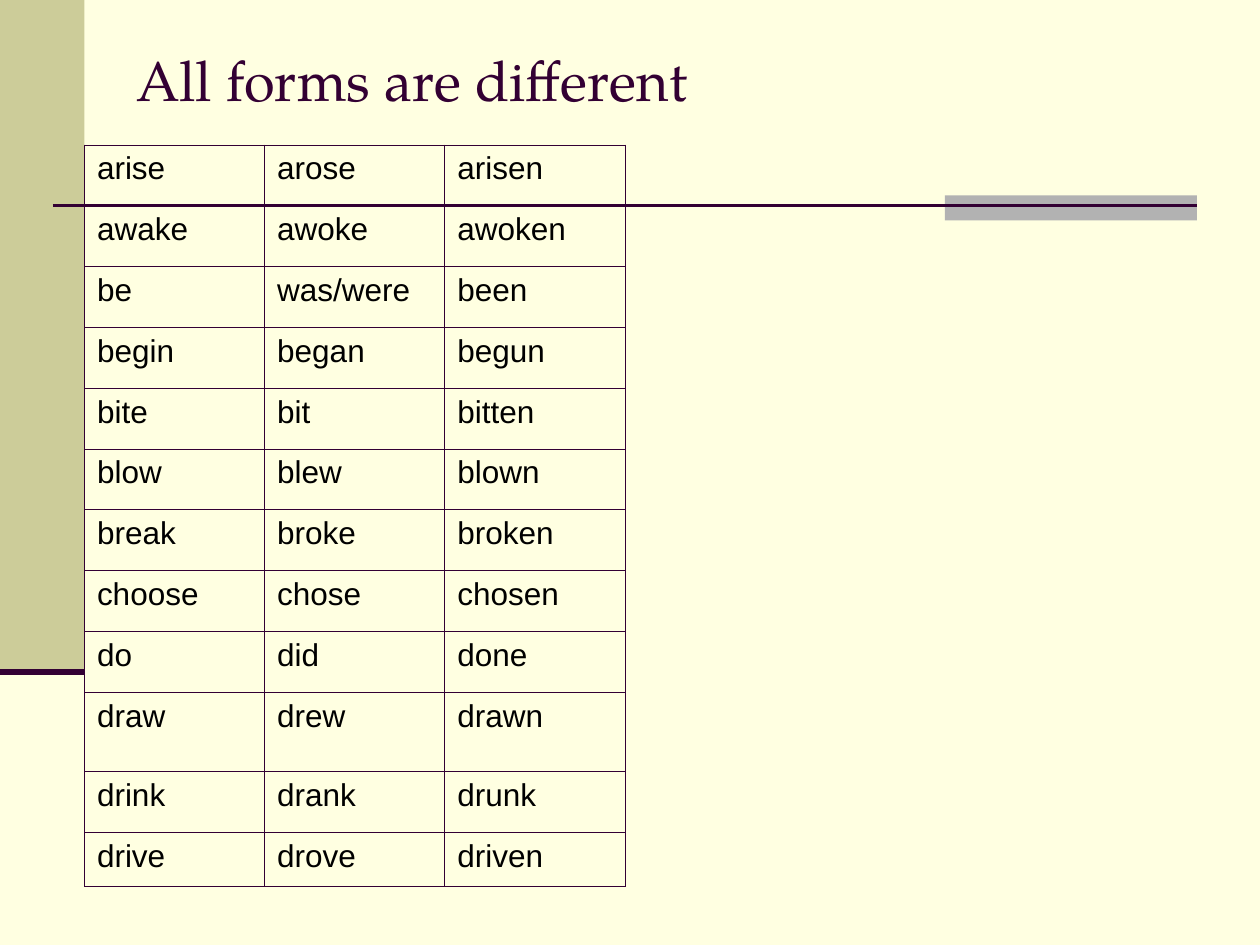
import pptx
import pptx.dml.color
import pptx.enum.shapes
import pptx.enum.text
import pptx.oxml
import pptx.oxml.ns
import pptx.util
from pptx.util import Inches

PLUM = "330033"


def color(hex_code):
    return pptx.dml.color.RGBColor.from_string(hex_code)


def add_text(paragraph, text, font_name, size, hex_code):
    run = paragraph.add_run()
    run.text = text
    run.font.name = font_name
    run.font.size = pptx.util.Pt(size)
    run.font.color.rgb = color(hex_code)


presentation = pptx.Presentation()
presentation.slide_width = Inches(10)
presentation.slide_height = Inches(7.5)
slide = presentation.slides.add_slide(presentation.slide_layouts[5])
slide.background.fill.solid()
slide.background.fill.fore_color.rgb = color("FFFFE1")

# Side band and accent bar
for left, top, width, height, fill in [
    (0, 0, 0.67, 5.33, "CCCC99"),
    (7.5, 1.55, 2, 0.2, "B2B2B2"),
]:
    band = slide.shapes.add_shape(
        pptx.enum.shapes.MSO_SHAPE.RECTANGLE,
        Inches(left), Inches(top), Inches(width), Inches(height))
    band.shadow.inherit = False
    band.fill.solid()
    band.fill.fore_color.rgb = color(fill)
    band.line.fill.background()

# Horizontal rules
for start, end, y, weight in [(0.42, 9.5, 1.63, 1.5), (0, 0.67, 5.33, 3.5)]:
    rule = slide.shapes.add_connector(
        pptx.enum.shapes.MSO_CONNECTOR.STRAIGHT,
        Inches(start), Inches(y), Inches(end), Inches(y))
    rule.line.color.rgb = color(PLUM)
    rule.line.width = pptx.util.Pt(weight)
    rule_properties = rule._element.spPr
    rule_properties.append(pptx.oxml.parse_xml(
        f'<a:effectLst {pptx.oxml.ns.nsdecls("a")}/>'))

# Title
title = slide.shapes.title
title.left, title.top = Inches(0.98), Inches(0.28)
title.width, title.height = Inches(8.5), Inches(0.69)
title.text_frame.word_wrap = True
title.text_frame.auto_size = pptx.enum.text.MSO_AUTO_SIZE.NONE
title.text_frame.vertical_anchor = pptx.enum.text.MSO_ANCHOR.MIDDLE
heading = title.text_frame.paragraphs[0]
heading.alignment = pptx.enum.text.PP_ALIGN.LEFT
add_text(heading, "All forms are different", "TeX Gyre Pagella", 32, PLUM)

# Verb table: base form, past simple, past participle
verbs = [
    ("arise", "arose", "arisen"),
    ("awake", "awoke", "awoken"),
    ("be", "was/were", "been"),
    ("begin", "began", "begun"),
    ("bite", "bit", "bitten"),
    ("blow", "blew", "blown"),
    ("break", "broke", "broken"),
    ("choose", "chose", "chosen"),
    ("do", "did", "done"),
    ("draw", "drew", "drawn"),
    ("drink", "drank", "drunk"),
    ("drive", "drove", "driven"),
]
table_width, table_height = 4.29, 5.89
special_heights = {"draw": 0.63, "drive": 0.43}
regular_height = ((table_height - sum(special_heights.values()))
                  / (len(verbs) - len(special_heights)))

verb_table = slide.shapes.add_table(
    len(verbs), 3, Inches(0.67), Inches(1.15),
    Inches(table_width), Inches(table_height)).table
verb_table.first_row = False
verb_table.horz_banding = False
for column in verb_table.columns:
    column.width = Inches(table_width / 3)

for row, forms in zip(verb_table.rows, verbs):
    row.height = Inches(special_heights.get(forms[0], regular_height))
    for cell, form in zip(row.cells, forms):
        paragraph = cell.text_frame.paragraphs[0]
        paragraph.space_before = pptx.util.Pt(4.5)
        add_text(paragraph, form, "Arial", 18, "000000")
        # Borders come before the fill in the cell properties
        cell_properties = cell._tc.get_or_add_tcPr()
        for side in ("lnL", "lnR", "lnT", "lnB"):
            cell_properties.append(pptx.oxml.parse_xml(
                f'<a:{side} {pptx.oxml.ns.nsdecls("a")} w="{pptx.util.Pt(0.45)}">'
                f'<a:solidFill><a:srgbClr val="{PLUM}"/></a:solidFill></a:{side}>'))
        cell.fill.background()

presentation.save("out.pptx")
